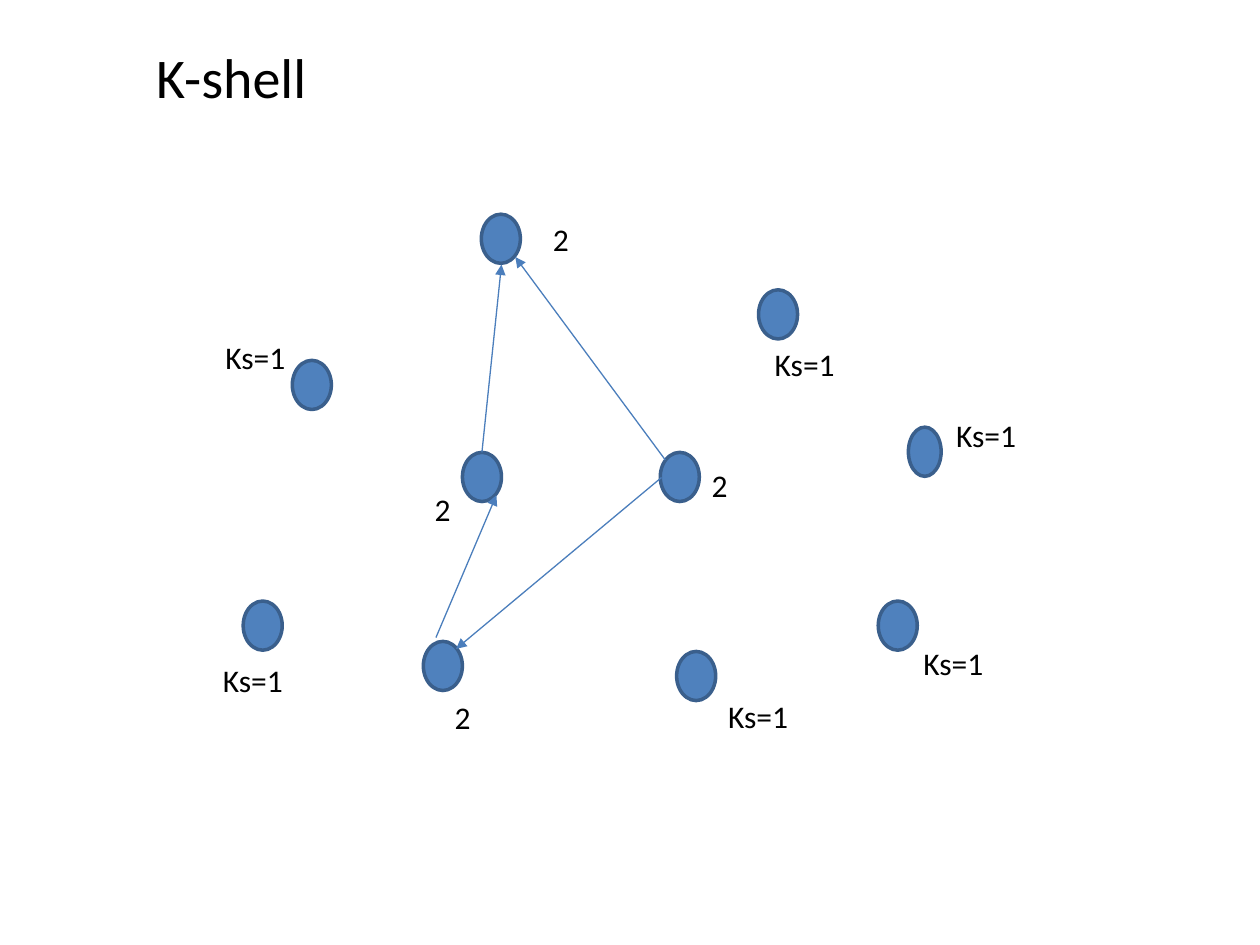
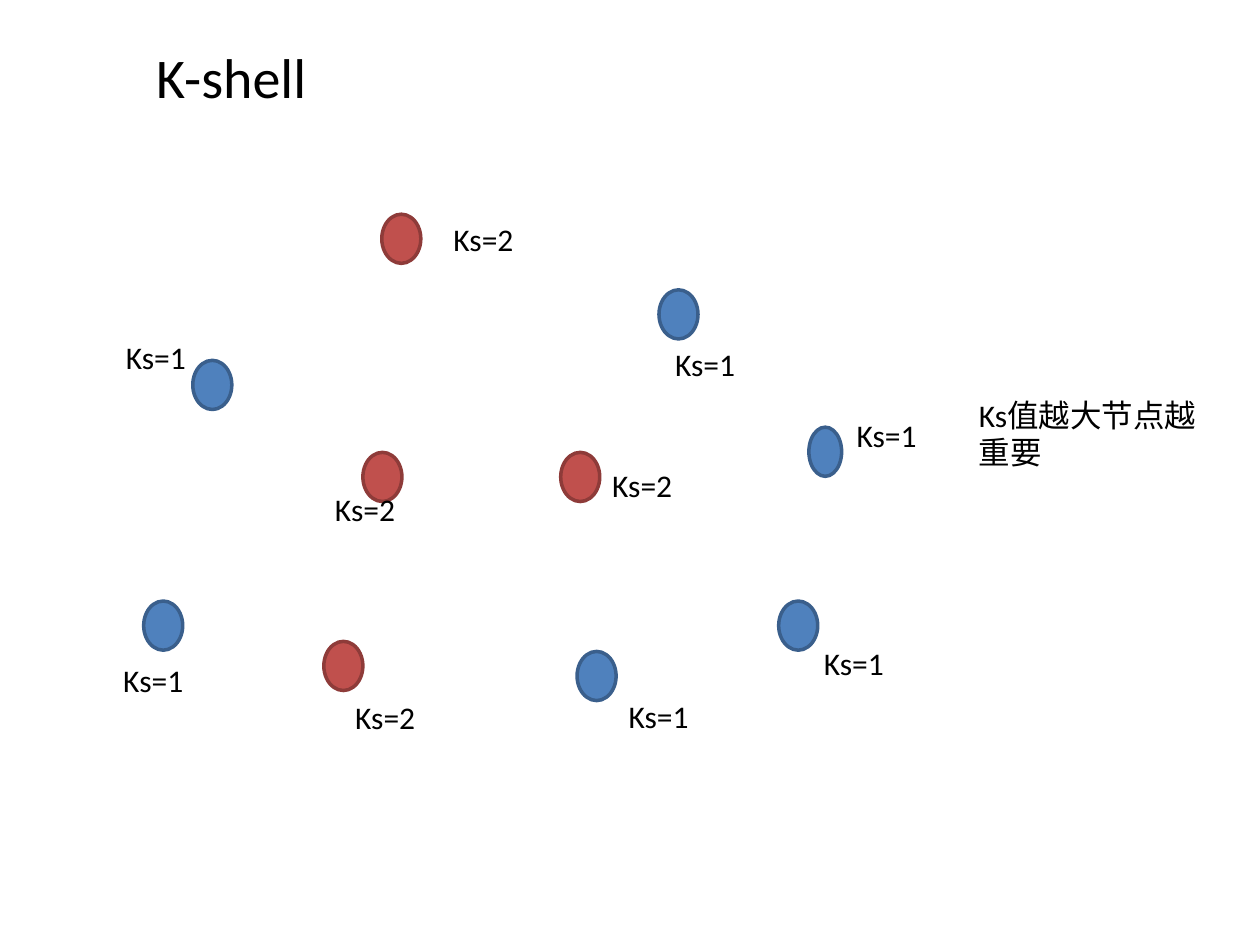
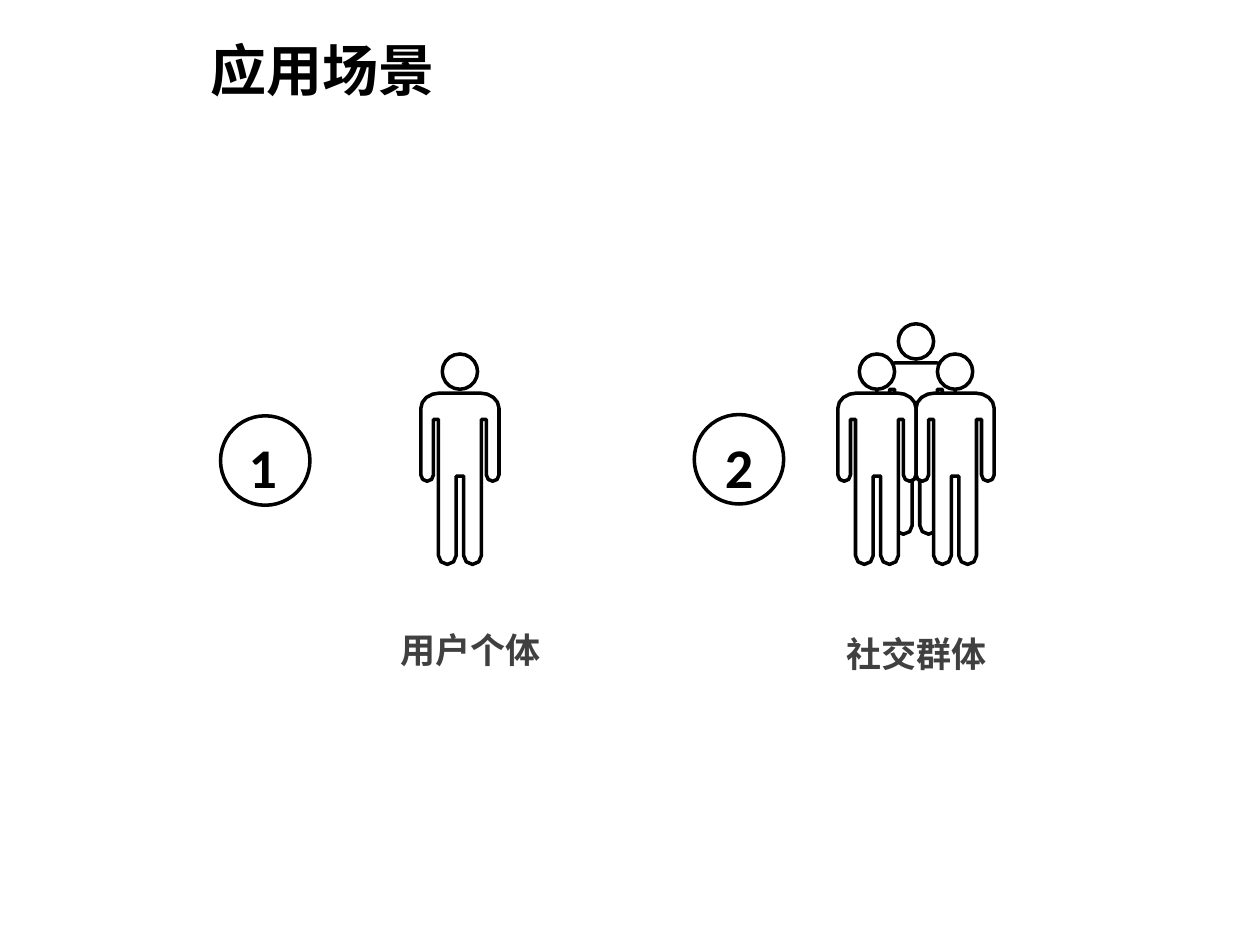
import math

import pptx
import pptx.dml.color
import pptx.enum.shapes
import pptx.enum.text
import pptx.oxml.ns
import pptx.util
from lxml import etree

Inches = pptx.util.Inches
Pt = pptx.util.Pt

COLORS = {
    "black": "000000",
    "white": "FFFFFF",
    "caption": "404040",
    "blue": "4F81BD",
    "blue line": "3A5F8C",
    "red": "C0504D",
    "red line": "8E3B39",
    "edge": "4B7EBC",
}

# Each node: left, top, width, shell, then left, top and width of its label;
# the width of a core label depends on its words
NODES = [
    (3.82, 1.70, 0.31, 2, 4.29, 1.70, None),
    (5.37, 5.17, 0.31, 1, 5.68, 5.48, 0.74),
    (3.36, 5.09, 0.31, 2, 3.51, 5.49, None),
    (1.93, 4.77, 0.31, 1, 1.67, 5.20, 0.97),
    (6.02, 2.30, 0.31, 1, 6.05, 2.69, 0.74),
    (5.24, 3.59, 0.31, 2, 5.55, 3.65, None),
    (3.67, 3.59, 0.31, 2, 3.35, 3.84, None),
    (2.32, 2.86, 0.31, 1, 1.69, 2.63, 1.58),
    (6.97, 4.77, 0.31, 1, 7.23, 5.06, 1.00),
    (7.21, 3.39, 0.26, 1, 7.49, 3.25, 0.74),
]
NODE_HEIGHT = 0.39
MIDDLE_NODE = 6


def arc(center_x, center_y, radius_x, radius_y, start, end, steps=4):
    """Points along an ellipse; angles in degrees, clockwise from the right."""
    angles = [math.radians(start + (end - start) * i / steps) for i in range(steps + 1)]
    return [(center_x + radius_x * math.cos(a), center_y + radius_y * math.sin(a))
            for a in angles]


def person_outlines():
    """Head and body around a vertical axis at x = 0, top at y = 0."""
    head = arc(0, 0.14, 0.14, 0.14, -90, 270, 20)[:-1]
    right_half = (
        arc(0.16, 0.43, 0.15, 0.12, -90, 0)       # shoulder
        + arc(0.26, 0.96, 0.05, 0.05, 0, 180)     # hand
        + [(0.21, 0.52), (0.17, 0.52)]            # armpit
        + arc(0.10, 1.60, 0.07, 0.07, 0, 180)     # foot
        + [(0.03, 0.97)]                          # crotch
    )
    left_half = [(-x, y) for x, y in reversed(right_half)]
    return head, right_half + left_half


class SlideMaker:
    """Holds the deck, its style and the current slide."""

    font = "Calibri"
    title_size = 32
    line_width = 2

    def __init__(self):
        self.deck = pptx.Presentation()
        self.deck.slide_width = Inches(10)
        self.deck.slide_height = Inches(7.5)
        self.page = None

    def new_page(self):
        self.page = self.deck.slides.add_slide(self.deck.slide_layouts[6])

    def color(self, name):
        return pptx.dml.color.RGBColor.from_string(COLORS[name])

    def text(self, words, left, top, width, height=0.4, size=18, color="black",
             bold=False, centered=False, spacing=None):
        box = self.page.shapes.add_textbox(
            Inches(left), Inches(top), Inches(width), Inches(height))
        box.text_frame.word_wrap = True
        box.text_frame.auto_size = pptx.enum.text.MSO_AUTO_SIZE.SHAPE_TO_FIT_TEXT
        para = box.text_frame.paragraphs[0]
        if centered:
            para.alignment = pptx.enum.text.PP_ALIGN.CENTER
        if spacing:
            para.line_spacing = spacing
        span = para.add_run()
        span.text = words
        span.font.name = self.font
        span.font.size = Pt(size)
        span.font.bold = bold
        span.font.color.rgb = self.color(color)

    def title(self, words, left, top, width, bold=False):
        self.text(words, left, top, width, 0.64, self.title_size, bold=bold)

    def paint(self, shape, fill, line):
        shape.shadow.inherit = False
        shape.fill.solid()
        shape.fill.fore_color.rgb = self.color(fill)
        shape.line.color.rgb = self.color(line)
        shape.line.width = Pt(self.line_width)

    def ellipse(self, left, top, width, height, fill, line):
        shape = self.page.shapes.add_shape(
            pptx.enum.shapes.MSO_SHAPE.OVAL,
            Inches(left), Inches(top), Inches(width), Inches(height))
        self.paint(shape, fill, line)
        return shape

    def arrow(self, start, end):
        connector = self.page.shapes.add_connector(
            pptx.enum.shapes.MSO_CONNECTOR.STRAIGHT,
            *(Inches(value) for value in start + end))
        connector.line.color.rgb = self.color("edge")
        connector.line.width = Pt(0.75)
        tail = etree.SubElement(connector.line._get_or_add_ln(),
                                pptx.oxml.ns.qn("a:tailEnd"))
        tail.set("type", "triangle")
        etree.SubElement(connector._element.spPr, pptx.oxml.ns.qn("a:effectLst"))
        return connector

    def person(self, axis, top):
        head, body = [[(Inches(axis + x), Inches(top + y)) for x, y in outline]
                      for outline in person_outlines()]
        builder = self.page.shapes.build_freeform(*head[0])
        builder.add_line_segments(head[1:], close=True)
        builder.move_to(*body[0])
        builder.add_line_segments(body[1:], close=True)
        self.paint(builder.convert_to_shape(), "white", "black")

    def nodes(self, shift=0, core_color="blue"):
        shapes = []
        for left, top, width, shell, *_ in NODES:
            fill = core_color if shell == 2 else "blue"
            shapes.append(self.ellipse(left + shift, top, width, NODE_HEIGHT,
                                       fill, fill + " line"))
        return shapes

    def node_labels(self, core_label, core_width, shift=0):
        for *_, shell, left, top, width in NODES:
            words = core_label if shell == 2 else "Ks=1"
            self.text(words, left + shift, top, width or core_width)

    def scene(self, number, circle_left, circle_top, number_left,
              caption, caption_left, caption_top):
        self.text(caption, caption_left, caption_top, 1.89, 0.55, 20, "caption",
                  bold=True, centered=True, spacing=1.5)
        self.ellipse(circle_left, circle_top, 0.71, 0.71, "white", "black")
        self.text(number, number_left, 3.12, 1.89, 0.83, self.title_size,
                  bold=True, centered=True, spacing=1.5)


def main():
    maker = SlideMaker()

    # Slide 1: the remaining core is still connected
    maker.new_page()
    maker.title("K-shell", 1.14, 0.29, 5.04)
    shapes = maker.nodes()
    rising = maker.arrow((3.83, 3.59), (3.98, 2.1))
    rising.begin_connect(shapes[MIDDLE_NODE], 0)
    for start, end in [((3.46, 5.06), (3.94, 3.93)),
                       ((5.25, 3.79), (3.62, 5.15)),
                       ((5.28, 3.65), (4.09, 2.04))]:
        maker.arrow(start, end)
    maker.node_labels("2", 0.39)

    # Slide 2: every node has its shell
    maker.new_page()
    maker.title("K-shell", 1.14, 0.29, 5.04)
    maker.nodes(shift=-0.79, core_color="red")
    maker.node_labels("Ks=2", 0.79, shift=-0.79)
    maker.text("Ks值越大节点越重要", 7.67, 3.09, 1.97, 0.71)

    # Slide 3: one user and a social group
    maker.new_page()
    for axis, top in [(7.27, 2.57), (3.65, 2.81), (6.96, 2.81), (7.58, 2.81)]:
        maker.person(axis, top)
    maker.scene("1", 1.75, 3.3, 1.14, "用户个体", 2.79, 4.77)
    maker.scene("2", 5.51, 3.29, 4.92, "社交群体", 6.33, 4.8)
    maker.title("应用场景", 1.57, 0.23, 2.44, bold=True)

    maker.deck.save("out.pptx")


if __name__ == "__main__":
    main()
